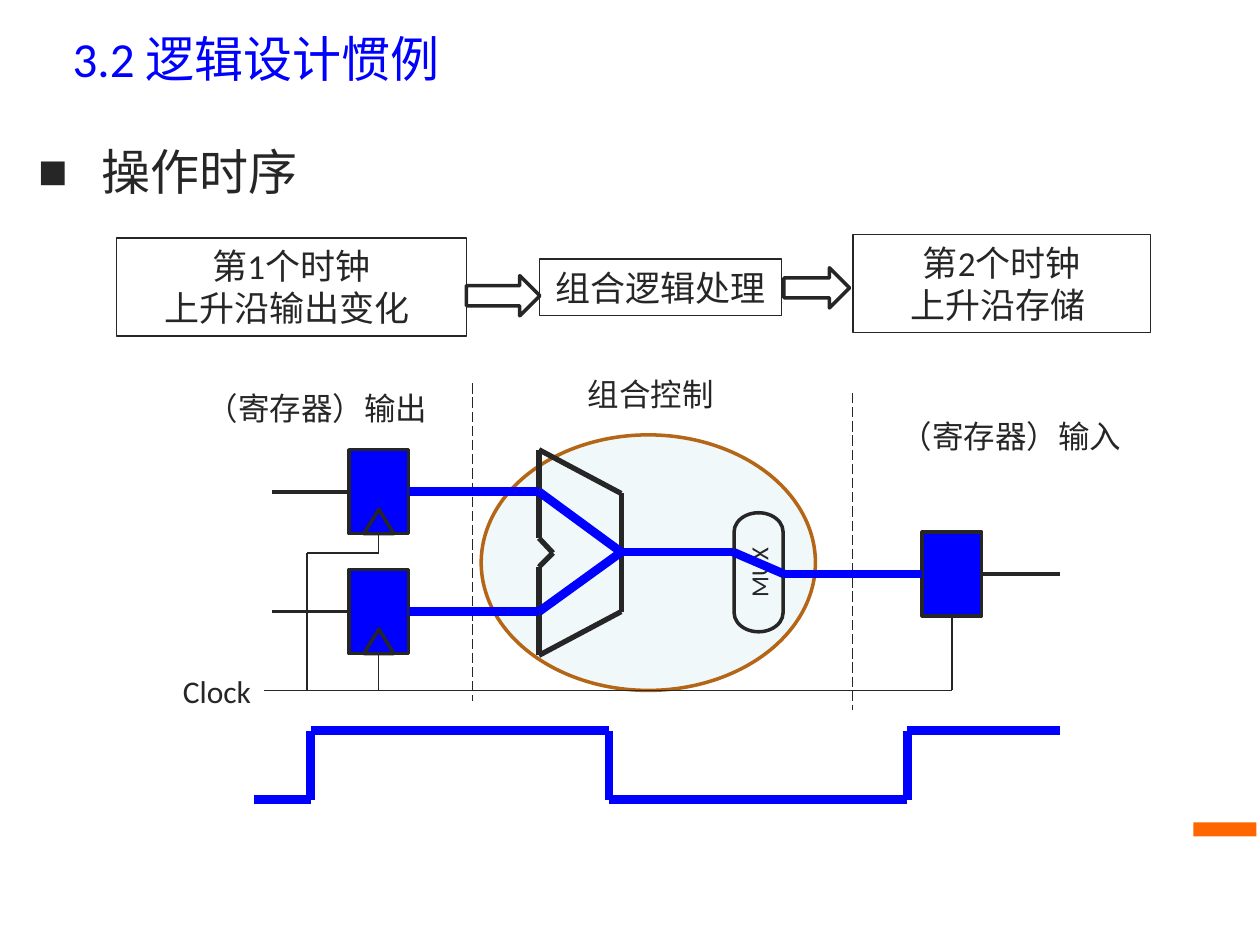
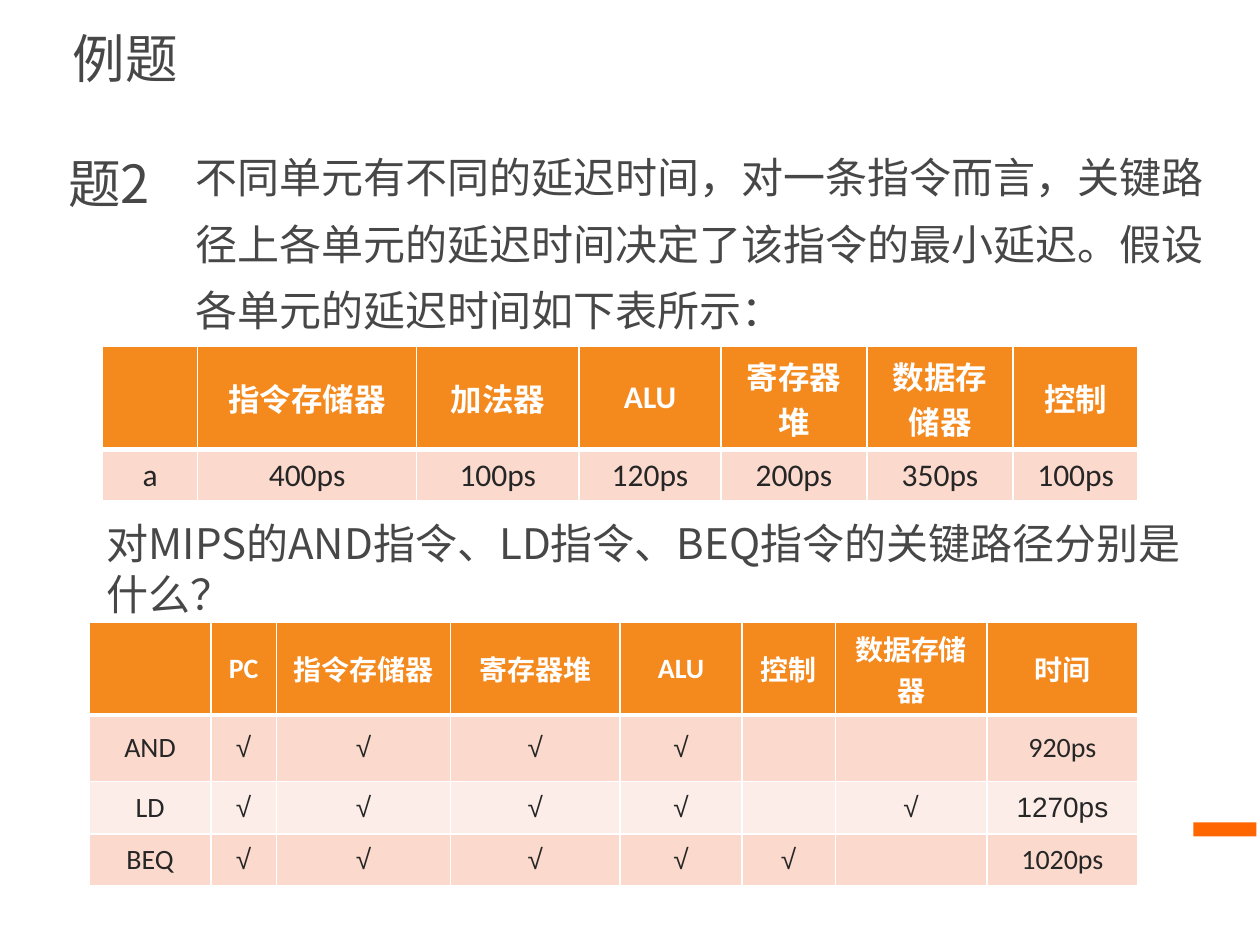
from itertools import pairwise

from lxml.etree import SubElement
from pptx import Presentation
from pptx.dml.color import RGBColor
from pptx.enum.dml import MSO_LINE
from pptx.enum.shapes import MSO_CONNECTOR, MSO_SHAPE as SHAPE
from pptx.enum.text import MSO_ANCHOR as ANCHOR, PP_ALIGN as ALIGN
from pptx.oxml import parse_xml
from pptx.oxml.ns import nsdecls, qn
from pptx.util import Pt

INK, GREY, BLUE, WHITE = "262626", "474747", "0000FF", "FFFFFF"
ORANGE, HEADER, BAND_DARK, BAND_LIGHT = "FF6600", "F4891E", "FBDACD", "FDEDE8"
LATIN, HAN, SYMBOL = "Calibri", "Noto Sans CJK SC", "Arial"
TOP, LEFT, BOTTOM, RIGHT = range(4)  # connection sites of a rectangle


def rgb(value):
    return RGBColor.from_string(value)


# Text and shapes

def add_run(paragraph, words, size, font=LATIN, color=INK, bold=False, han=None):
    run = paragraph.add_run()
    run.text = words
    run.font.size = Pt(size)
    run.font.bold = bold
    run.font.color.rgb = rgb(color)
    run.font.name = font
    SubElement(run.font._element, qn("a:ea"), typeface=han or font)


def fill_text(shape, lines, size, font=LATIN, color=INK, align=ALIGN.LEFT,
              anchor=ANCHOR.TOP, insets=(7.2, 3.6), spacing=None):
    frame = shape.text_frame
    frame.word_wrap = True
    frame.vertical_anchor = anchor
    frame.margin_left = frame.margin_right = Pt(insets[0])
    frame.margin_top = frame.margin_bottom = Pt(insets[1])
    for index, words in enumerate(lines):
        paragraph = frame.add_paragraph() if index else frame.paragraphs[0]
        paragraph.alignment = align
        if spacing:
            paragraph.line_spacing = Pt(spacing)
        add_run(paragraph, words, size, font, color)
    return frame


def add_text(slide, box, lines, size, **style):
    return fill_text(slide.shapes.add_textbox(*map(Pt, box)), lines, size, **style)


def add_shape(slide, kind, box, fill=None, line=None, width=2):
    shape = slide.shapes.add_shape(kind, *map(Pt, box))
    shape.shadow.inherit = False
    if fill:
        shape.fill.solid()
        shape.fill.fore_color.rgb = rgb(fill)
    else:
        shape.fill.background()
    if line:
        shape.line.color.rgb = rgb(line)
        shape.line.width = Pt(width)
    else:
        shape.line.fill.background()
    return shape


def add_path(slide, points, width, color=INK, start=None, end=None, dash=None):
    """Straight connectors through the points; start and end are (shape, site)."""
    segments = []
    for (x1, y1), (x2, y2) in pairwise(points):
        segment = slide.shapes.add_connector(
            MSO_CONNECTOR.STRAIGHT, Pt(x1), Pt(y1), Pt(x2), Pt(y2))
        segment.line.color.rgb = rgb(color)
        segment.line.width = Pt(width)
        if dash:
            segment.line.dash_style = dash
        SubElement(segment._element.spPr, qn("a:effectLst"))
        segments.append(segment)
    if start:
        segments[0].begin_connect(*start)
    if end:
        segments[-1].end_connect(*end)


# Shared slide frame

def add_page(deck, title, size, font, color):
    slide = deck.slides.add_slide(deck.slide_layouts[6])
    add_shape(slide, SHAPE.RECTANGLE, (682, 470, 36, 8), ORANGE)
    add_text(slide, (34.5, 6, 661.5, 54), [title], size, font=font, color=color,
             anchor=ANCHOR.MIDDLE)
    return slide


# Slide 1 regions

def add_topic(slide, box, words):
    frame = add_text(slide, box, [], 28, insets=(7.6, 3.6))
    paragraph = frame.paragraphs[0]
    props = paragraph._p.get_or_add_pPr()
    props.set("marL", str(Pt(36)))
    props.set("indent", str(-Pt(36)))
    SubElement(props, qn("a:buFont"), typeface=SYMBOL)
    SubElement(props, qn("a:buChar"), char="■")
    add_run(paragraph, words, 28)


def add_steps(slide, left, top):
    steps = [
        ((0, 2, 200, 56), ["第1个时钟", "上升沿输出变化 "]),
        ((242, 14, 138, 32.5), ["组合逻辑处理"]),
        ((421, 0, 170, 56), ["第2个时钟", "上升沿存储 "]),
    ]
    for (x, y, width, height), lines in steps:
        step = add_shape(slide, SHAPE.RECTANGLE, (left + x, top + y, width, height),
                         line=INK, width=0.75)
        fill_text(step, lines, 20, align=ALIGN.CENTER, anchor=ANCHOR.MIDDLE,
                  insets=(7.6, 0))
    for x, y, width in [(200, 23.5, 42), (381.5, 19, 37.5)]:
        add_shape(slide, SHAPE.RIGHT_ARROW, (left + x, top + y, width, 23), line=INK)


def add_datapath(slide, left, top):
    def box(x, y, width, height):
        return left + x, top + y, width, height

    def path(points, width, **style):
        add_path(slide, [(left + x, top + y) for x, y in points], width, **style)

    # Combinational area
    cloud = add_shape(slide, SHAPE.OVAL, box(183, 38.5, 191, 146), "DBEEF4", "B56516")
    tint = cloud.fill._xPr.find(qn("a:solidFill"))[0]
    SubElement(tint, qn("a:alpha"), val="37000")

    # Captions
    for place, words, align in [
        ((216, 1, 128, 30), "组合控制", ALIGN.CENTER),
        ((7, 9, 152.6, 30), "（寄存器）输出", ALIGN.RIGHT),
        ((415, 25, 152.6, 30), "（寄存器）输入", ALIGN.LEFT),
        ((0, 170.5, 64, 30), "Clock", ALIGN.CENTER),
    ]:
        add_text(slide, box(*place), [words], 18, align=align, insets=(7.6, 3.6))

    # Cycle boundaries
    for x, y in [(178, 9), (395, 14.5)]:
        path([(x, y), (x, y + 181.5)], 0.75, dash=MSO_LINE.LONG_DASH)

    # ALU outline and multiplexer
    alu = [(216, 47), (216, 97.5), (224, 106), (216, 114), (216, 164.5),
           (263, 139.5), (263, 72)]
    path(alu + alu[:1], 3)
    mux = add_shape(slide, SHAPE.FLOWCHART_TERMINATOR, box(307.5, 103, 68, 28), line=INK)
    mux.rotation = 270
    fill_text(mux, ["MUX"], 14, align=ALIGN.CENTER, anchor=ANCHOR.MIDDLE, insets=(0, 0))

    # Source registers, their leads and their wires into the ALU
    bus, clock_x, result = 184.5, 124.5, (263, 105.5)
    sources = []
    for y in (47, 115.5):
        source = add_shape(slide, SHAPE.RECTANGLE, box(107.5, y, 34, 48), BLUE, INK)
        add_shape(slide, SHAPE.FLOWCHART_EXTRACT, box(116, y + 34, 17, 14), BLUE, INK)
        path([(63.5, y + 24), (107.5, y + 24)], 2, end=(source, LEFT))
        path([(141.5, y + 24), (216, y + 24), result], 5, color=BLUE,
             start=(source, RIGHT))
        sources.append(source)

    # Target register
    target = add_shape(slide, SHAPE.RECTANGLE, box(435, 94, 34, 48), BLUE, INK)
    path([result, (327, 105.5), (356, 118), (435, 118)], 5, color=BLUE,
         end=(target, LEFT))
    path([(469, 118), (513.5, 118)], 2, start=(target, RIGHT))

    # Clock distribution
    path([(59, bus), (452, bus)], 0.75)
    path([(clock_x, 95), (clock_x, 106), (83.5, 106), (83.5, bus)], 0.75,
         start=(sources[0], BOTTOM))
    path([(clock_x, 163.5), (clock_x, bus)], 0.75, start=(sources[1], BOTTOM))
    path([(452, 142), (452, bus)], 0.75, start=(target, BOTTOM))


def add_clock_wave(slide, left, top, width, height):
    low, high, level = top + height, top, top + height
    points = [(left, low)]
    for edge in range(3):
        x = left + 32.5 + 170.5 * edge
        points.append((x, level))
        level = high if level == low else low
        points.append((x, level))
    add_path(slide, points + [(left + width, level)], 5, BLUE)


# Slide 2 regions

def set_borders(cell, bottom):
    props = cell._tc.get_or_add_tcPr()
    for index, (side, width) in enumerate(
            [("L", 1), ("R", 1), ("T", 1), ("B", bottom)]):
        props.insert(index, parse_xml(
            f'<a:ln{side} {nsdecls("a")} w="{Pt(width)}"><a:solidFill>'
            f'<a:srgbClr val="{WHITE}"/></a:solidFill></a:ln{side}>'))


def add_grid(slide, left, top, columns, heights, rows, size, body_anchor):
    table = slide.shapes.add_table(
        len(rows), len(columns), Pt(left), Pt(top), Pt(sum(columns)),
        Pt(sum(heights))).table
    for column, width in zip(table.columns, columns):
        column.width = Pt(width)
    for r, values in enumerate(rows):
        table.rows[r].height = Pt(heights[r])
        header = r == 0
        for c, value in enumerate(values):
            cell = table.cell(r, c)
            cell.fill.solid()
            cell.fill.fore_color.rgb = rgb(
                HEADER if header else BAND_DARK if r % 2 else BAND_LIGHT)
            set_borders(cell, 3 if header else 1)
            cell.vertical_anchor = ANCHOR.MIDDLE if header else body_anchor
            paragraph = cell.text_frame.paragraphs[0]
            paragraph.alignment = ALIGN.CENTER
            if value:
                font = SYMBOL if value in ("√", "1270ps") else LATIN
                add_run(paragraph, value, size, font, WHITE if header else INK,
                        header, HAN if header else None)
            else:
                paragraph.font.size = Pt(size)


def add_delays(slide, left, top):
    rows = [
        ["", "指令存储器", "加法器", "ALU", "寄存器堆", "数据存储器", "控制"],
        ["a", "400ps", "100ps", "120ps", "200ps", "350ps", "100ps"],
    ]
    add_grid(slide, left, top, [54.5, 125, 93, 81, 83.5, 83.5, 71.5], [59, 29],
             rows, 18, ANCHOR.TOP)


def add_critical_paths(slide, left, top):
    units = ["PC", "指令存储器", "寄存器堆", "ALU", "控制", "数据存储器"]
    shared = units[:4]
    answers = [("AND", shared, "920ps"),
               ("LD", shared + ["数据存储器"], "1270ps"),
               ("BEQ", shared + ["控制"], "1020ps")]
    rows = [["", *units, "时间"]]
    for instruction, used, time in answers:
        rows.append([instruction, *("√" if u in used else "" for u in units), time])
    add_grid(slide, left, top, [69.5, 37.5, 99.5, 97, 69.5, 53.5, 86.5, 86.5],
             [53, 38, 30, 29.5], rows, 16, ANCHOR.MIDDLE)


def build_timing(deck):
    slide = add_page(deck, "3.2 逻辑设计惯例", 28, LATIN, BLUE)
    add_topic(slide, (14.5, 77.5, 522, 42), "操作时序")
    add_datapath(slide, 92, 210)
    add_clock_wave(slide, 145, 417.5, 460.5, 39.5)
    add_steps(slide, 66.5, 134)


def build_exercise(deck):
    slide = add_page(deck, "例题", 30, HAN, GREY)
    prose = {"font": HAN, "color": GREY}
    add_text(slide, (32, 77.5, 93, 54), ["题2"], 30, anchor=ANCHOR.MIDDLE, **prose)
    add_text(slide, (104.5, 74, 592, 130), [
        "不同单元有不同的延迟时间，对一条指令而言，关键路径上各单元的延迟时间"
        "决定了该指令的最小延迟。假设各单元的延迟时间如下表所示："],
        24, spacing=38, **prose)
    add_delays(slide, 58.5, 198)
    add_text(slide, (54, 292, 648, 102), [
        "对MIPS的AND指令、LD指令、BEQ指令的关键路径分别是什么？"],
        24, spacing=29, **prose)
    add_critical_paths(slide, 51, 355.5)


def main():
    deck = Presentation()
    deck.slide_width, deck.slide_height = Pt(720), Pt(540)
    build_timing(deck)
    build_exercise(deck)
    deck.save("out.pptx")


if __name__ == "__main__":
    main()
